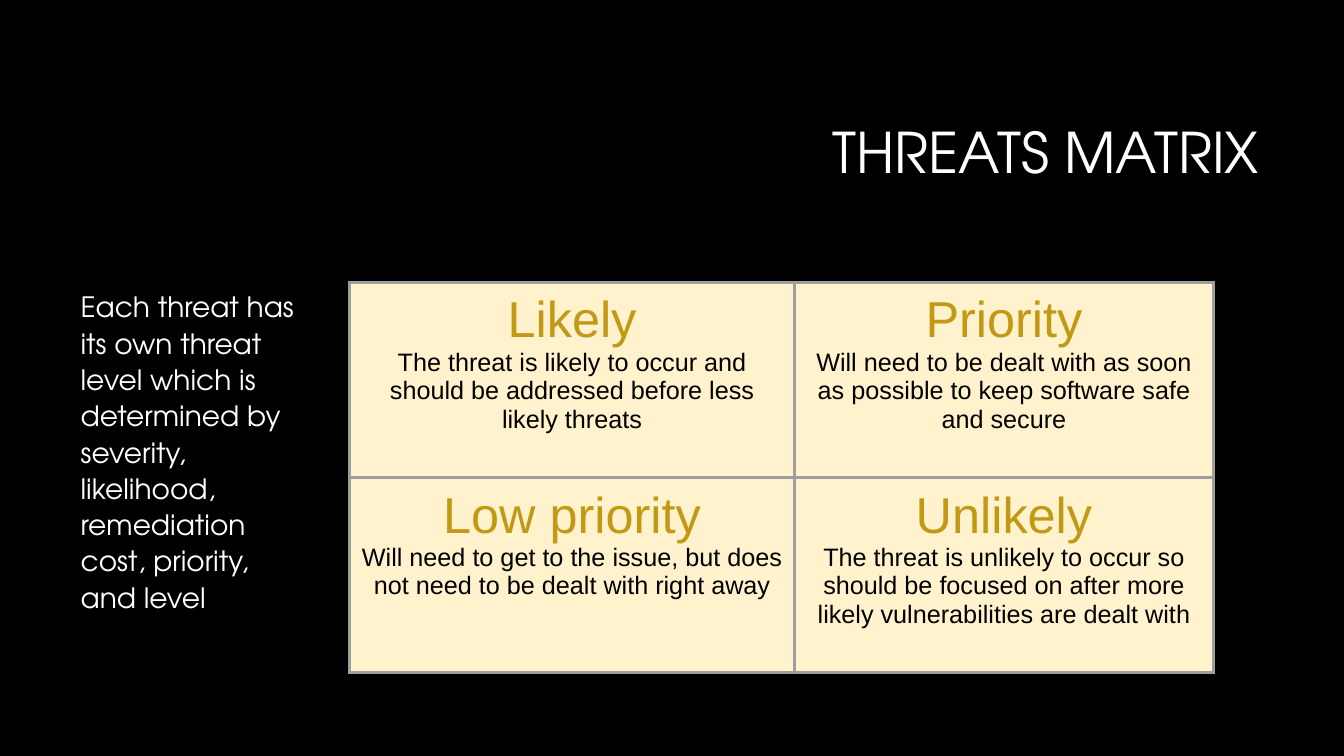
import pptx
import pptx.dml.color
import pptx.enum.text
import pptx.oxml
import pptx.oxml.ns
import pptx.util
from pptx.util import Pt

BLACK = pptx.dml.color.RGBColor(0x00, 0x00, 0x00)
WHITE = pptx.dml.color.RGBColor(0xFF, 0xFF, 0xFF)
GOLD = pptx.dml.color.RGBColor(0xC1, 0x99, 0x15)
CREAM = pptx.dml.color.RGBColor(0xFF, 0xF2, 0xCC)
GREY = pptx.dml.color.RGBColor(0x9E, 0x9E, 0x9E)

DISPLAY_FONT = "TeX Gyre Adventor"
TABLE_FONT = "Arial"
ALIGN = pptx.enum.text.PP_ALIGN
ANCHOR = pptx.enum.text.MSO_ANCHOR

# Boxes are left, top, width, height in points.
TITLE_BOX = (228.24, 60.48, 678.24, 101.52)
SUMMARY_BOX = (32.4, 201.6, 195.84, 316.8)
MATRIX_BOX = (249.84, 201.6, 617.04, 278.64)
LEFT_COLUMN_WIDTH = 317.52
CELL_MARGIN = 7.2
BORDER_WIDTH = 2.25

SUMMARY = (
    "Each threat has its own threat level which is determined by severity, "
    "likelihood, remediation cost, priority, and level"
)
THREATS = [
    [
        ("Likely", "The threat is likely to occur and should be addressed "
                   "before less likely threats"),
        ("Priority", "Will need to be dealt with as soon as possible to keep "
                     "software safe and secure"),
    ],
    [
        ("Low priority", "Will need to get to the issue, but does not need to "
                         "be dealt with right away"),
        ("Unlikely", "The threat is unlikely to occur so should be focused on "
                     "after more likely vulnerabilities are dealt with"),
    ],
]


def style_paragraph(para, font_name, size, color, alignment):
    para.alignment = alignment
    para.font.name = font_name
    para.font.size = Pt(size)
    para.font.color.rgb = color


def fill_placeholder(placeholder, box, text, anchor):
    """Move a placeholder to box, set its text and return its paragraph."""
    left, top, width, height = map(Pt, box)
    placeholder.left, placeholder.top = left, top
    placeholder.width, placeholder.height = width, height
    frame = placeholder.text_frame
    frame.text = text
    frame.word_wrap = True
    frame.auto_size = pptx.enum.text.MSO_AUTO_SIZE.NONE
    frame.vertical_anchor = anchor
    return frame.paragraphs[0]


def add_title(slide, box):
    para = fill_placeholder(slide.shapes.title, box, "THREATS MATRIX", ANCHOR.MIDDLE)
    para.line_spacing = 0.9
    style_paragraph(para, DISPLAY_FONT, 40, WHITE, ALIGN.RIGHT)


def add_summary(slide, box):
    para = fill_placeholder(slide.placeholders[1], box, SUMMARY, ANCHOR.TOP)
    para.line_spacing = 1.08
    para.space_before = Pt(0)
    properties = para._p.get_or_add_pPr()
    properties.set("marL", str(Pt(18)))
    properties.set("indent", "0")
    properties.append(pptx.oxml.parse_xml(
        f'<a:buNone {pptx.oxml.ns.nsdecls("a")}/>'))
    style_paragraph(para, DISPLAY_FONT, 20, WHITE, ALIGN.LEFT)


def set_borders(cell):
    properties = cell._tc.get_or_add_tcPr()
    for position, side in enumerate(("lnL", "lnR", "lnT", "lnB")):
        properties.insert(position, pptx.oxml.parse_xml(
            f'<a:{side} {pptx.oxml.ns.nsdecls("a")} w="{Pt(BORDER_WIDTH)}">'
            f'<a:solidFill><a:srgbClr val="{GREY}"/></a:solidFill></a:{side}>'))


def fill_cell(cell, heading, description):
    cell.fill.solid()
    cell.fill.fore_color.rgb = CREAM
    cell.margin_left = cell.margin_right = Pt(CELL_MARGIN)
    cell.margin_top = cell.margin_bottom = Pt(CELL_MARGIN)
    cell.vertical_anchor = ANCHOR.TOP
    cell.text = f"{heading}\n{description}"
    heading_para, description_para = cell.text_frame.paragraphs
    style_paragraph(heading_para, TABLE_FONT, 36, GOLD, ALIGN.CENTER)
    style_paragraph(description_para, TABLE_FONT, 18, BLACK, ALIGN.CENTER)
    set_borders(cell)


def add_matrix(slide, box):
    left, top, width, height = box
    table = slide.shapes.add_table(
        len(THREATS), len(THREATS[0]), Pt(left), Pt(top), Pt(width), Pt(height)).table
    table.first_row = table.horz_banding = False
    table.columns[0].width = Pt(LEFT_COLUMN_WIDTH)
    table.columns[1].width = Pt(width - LEFT_COLUMN_WIDTH)
    for row_index, threats in enumerate(THREATS):
        table.rows[row_index].height = Pt(height / len(THREATS))
        for column_index, (heading, description) in enumerate(threats):
            fill_cell(table.cell(row_index, column_index), heading, description)


def main():
    deck = pptx.Presentation()
    deck.slide_width, deck.slide_height = Pt(960), Pt(540)
    slide = deck.slides.add_slide(deck.slide_layouts[1])
    slide.background.fill.solid()
    slide.background.fill.fore_color.rgb = BLACK
    add_title(slide, TITLE_BOX)
    add_summary(slide, SUMMARY_BOX)
    add_matrix(slide, MATRIX_BOX)
    deck.save("out.pptx")


if __name__ == "__main__":
    main()
